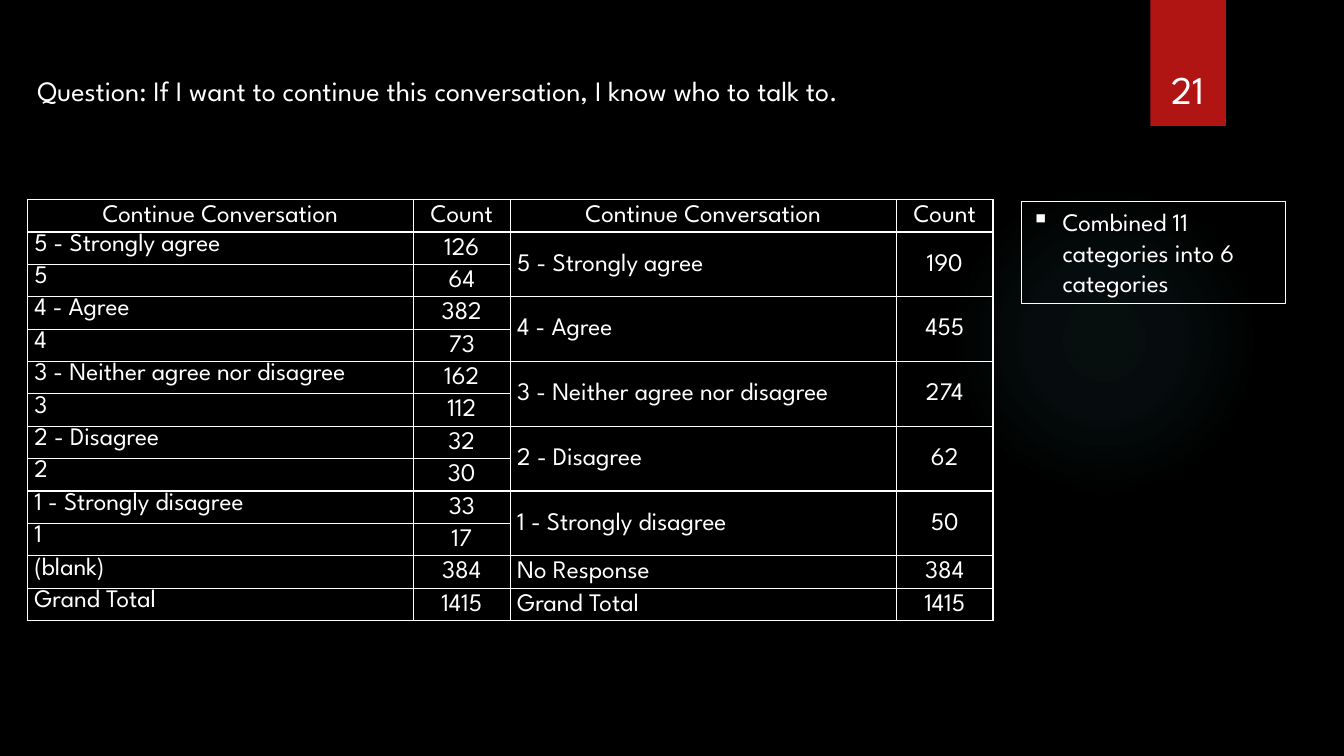
from lxml import etree
from pptx import Presentation
from pptx.dml.color import RGBColor
from pptx.enum.shapes import MSO_SHAPE
from pptx.enum.text import MSO_ANCHOR, PP_ALIGN
from pptx.oxml.ns import qn
from pptx.util import Inches, Pt

RECT, OVAL = MSO_SHAPE.RECTANGLE, MSO_SHAPE.OVAL
TOP, MIDDLE, BOTTOM = MSO_ANCHOR.TOP, MSO_ANCHOR.MIDDLE, MSO_ANCHOR.BOTTOM
LEFT, CENTER = PP_ALIGN.LEFT, PP_ALIGN.CENTER
BLACK = RGBColor(0x00, 0x00, 0x00)
WHITE = RGBColor(0xFF, 0xFF, 0xFF)
RED = RGBColor(0xB0, 0x15, 0x13)
TEAL = RGBColor(0x50, 0xB9, 0xC1)
FONT = "League Spartan"


def add_text(tf, text, size, align=LEFT, anchor=TOP):
    tf.word_wrap = True
    tf.vertical_anchor = anchor
    p = tf.paragraphs[0]
    p.alignment = align
    r = p.add_run()
    r.text = text
    r.font.name = FONT
    r.font.size = Pt(size)
    r.font.color.rgb = WHITE
    return p


def add_child(parent, tag, **attrs):
    return etree.SubElement(parent, qn(tag), {k: str(v) for k, v in attrs.items()})


prs = Presentation()
prs.slide_width = Inches(13.33)
prs.slide_height = Inches(7.5)
s = prs.slides.add_slide(prs.slide_layouts[5])
s.background.fill.solid()
s.background.fill.fore_color.rgb = BLACK

glow = s.shapes.add_shape(OVAL, Inches(9.41), Inches(1.83), Inches(3.08), Inches(3.08))
glow.shadow.inherit = False
glow.line.fill.background()
glow.fill.gradient()
grad = glow.fill._xPr.find(qn("a:gradFill"))
for child in list(grad):
    grad.remove(child)
stops = add_child(grad, "a:gsLst")
for position, alpha in [(0, 7), (36, 6), (69, 0)]:
    stop = add_child(stops, "a:gs", pos=position * 1000)
    color = add_child(stop, "a:srgbClr", val=TEAL)
    add_child(color, "a:alpha", val=alpha * 1000)
radial = add_child(grad, "a:path", path="circle")
add_child(radial, "a:fillToRect", l=50000, t=50000, r=50000, b=50000)

ribbon = s.shapes.add_shape(RECT, Inches(11.41), 0, Inches(0.75), Inches(1.25))
ribbon.shadow.inherit = False
ribbon.fill.solid()
ribbon.fill.fore_color.rgb = RED
ribbon.line.fill.background()

number = s.shapes.add_textbox(Inches(11.32), Inches(0.32), Inches(0.92), Inches(0.84))
add_text(number.text_frame, "21", 28, CENTER, BOTTOM)

note = s.shapes.add_shape(RECT, Inches(10.13), Inches(2), Inches(2.62), Inches(1.01))
note.shadow.inherit = False
note.fill.background()
note.line.color.rgb = WHITE
note.line.width = Pt(0.75)
p = add_text(note.text_frame, "Combined 11 categories into 6 categories", 18)
pPr = p._p.get_or_add_pPr()
pPr.set("marL", str(Inches(0.31)))
pPr.set("indent", str(-Inches(0.31)))
add_child(pPr, "a:buChar", char="▪")

title = s.shapes.title
title.left, title.top = Inches(0.27), Inches(0.68)
title.width, title.height = Inches(9.58), Inches(0.44)
add_text(title.text_frame,
         "Question: If I want to continue this conversation, I know who to talk to.",
         20, LEFT, MIDDLE)

rows = [
    ("Continue Conversation", "Count", "Continue Conversation", "Count"),
    ("5 - Strongly agree", "126", "5 - Strongly agree", "190"),
    ("5", "64", "", ""),
    ("4 - Agree", "382", "4 - Agree", "455"),
    ("4", "73", "", ""),
    ("3 - Neither agree nor disagree", "162", "3 - Neither agree nor disagree", "274"),
    ("3", "112", "", ""),
    ("2 - Disagree", "32", "2 - Disagree", "62"),
    ("2", "30", "", ""),
    ("1 - Strongly disagree", "33", "1 - Strongly disagree", "50"),
    ("1", "17", "", ""),
    ("(blank)", "384", "No Response", "384"),
    ("Grand Total", "1415", "Grand Total", "1415"),
]
table = s.shapes.add_table(len(rows), 4, Inches(0.27), Inches(1.98),
                           Inches(9.58), Inches(0.32 * len(rows))).table
table.first_row = False
table.horz_banding = False
for column, width in zip(table.columns, [3.83, 0.96, 3.83, 0.96]):
    column.width = Inches(width)

for i, row in enumerate(rows):
    for j, text in enumerate(row):
        cell = table.cell(i, j)
        cell.margin_left = cell.margin_right = Inches(0.07)
        cell.margin_top = cell.margin_bottom = 0
        cell.vertical_anchor = TOP if i and j == 0 else MIDDLE
        tcPr = cell._tc.get_or_add_tcPr()
        for side in ("a:lnL", "a:lnR", "a:lnT", "a:lnB"):
            border = add_child(tcPr, side, w=Pt(1))
            add_child(add_child(border, "a:solidFill"), "a:srgbClr", val=WHITE)
        cell.fill.background()
        if text:
            p = cell.text_frame.paragraphs[0]
            p.alignment = CENTER if i == 0 or j % 2 else LEFT
            p.line_spacing = 1.07
            p.space_after = Pt(8)
            r = p.add_run()
            r.text = text
            r.font.name = FONT
            r.font.size = Pt(18)
            r.font.color.rgb = WHITE
        else:
            table.cell(i - 1, j).merge(cell)

prs.save("out.pptx")
